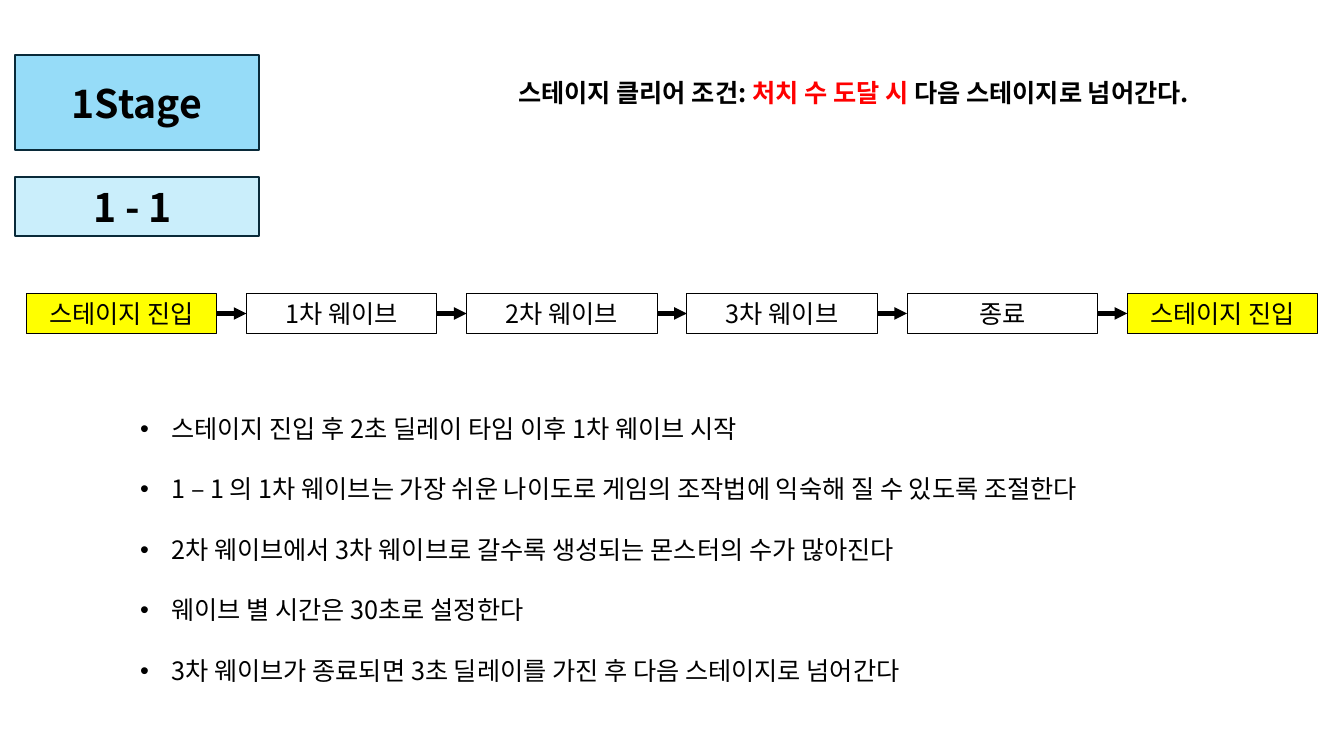
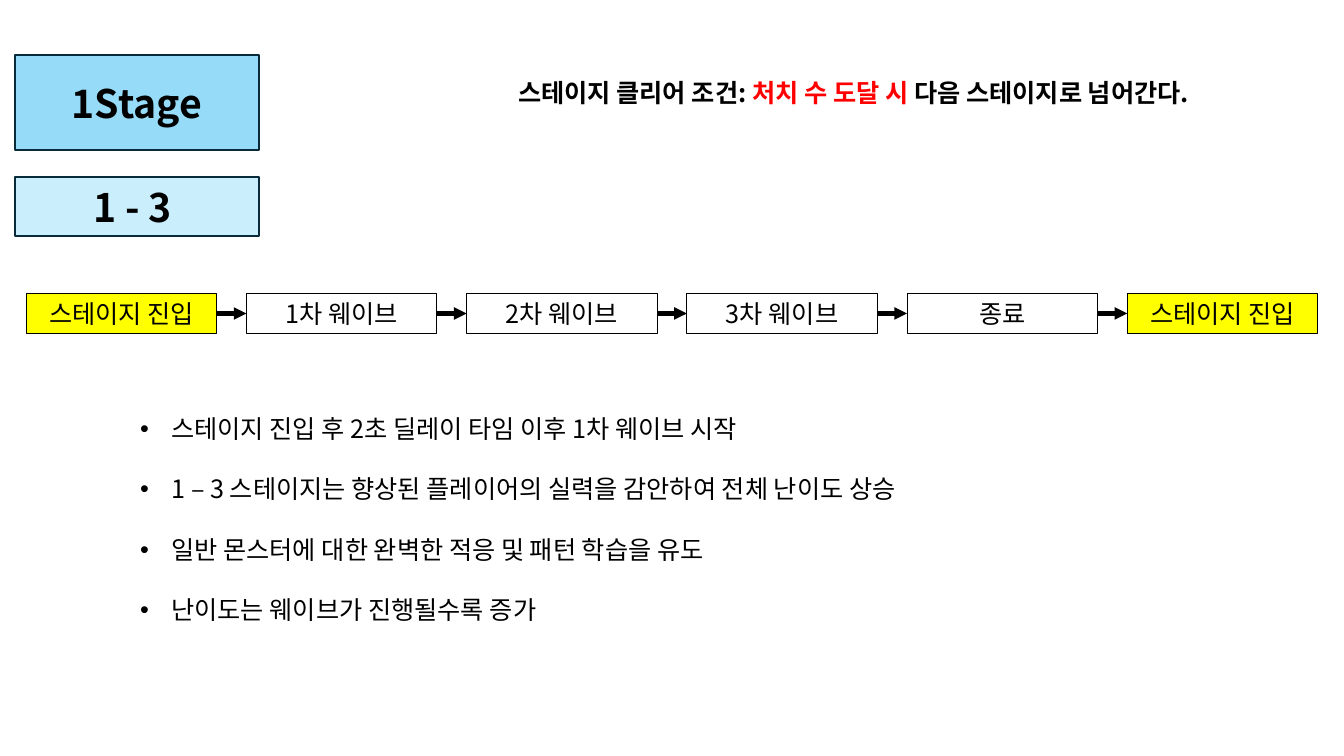
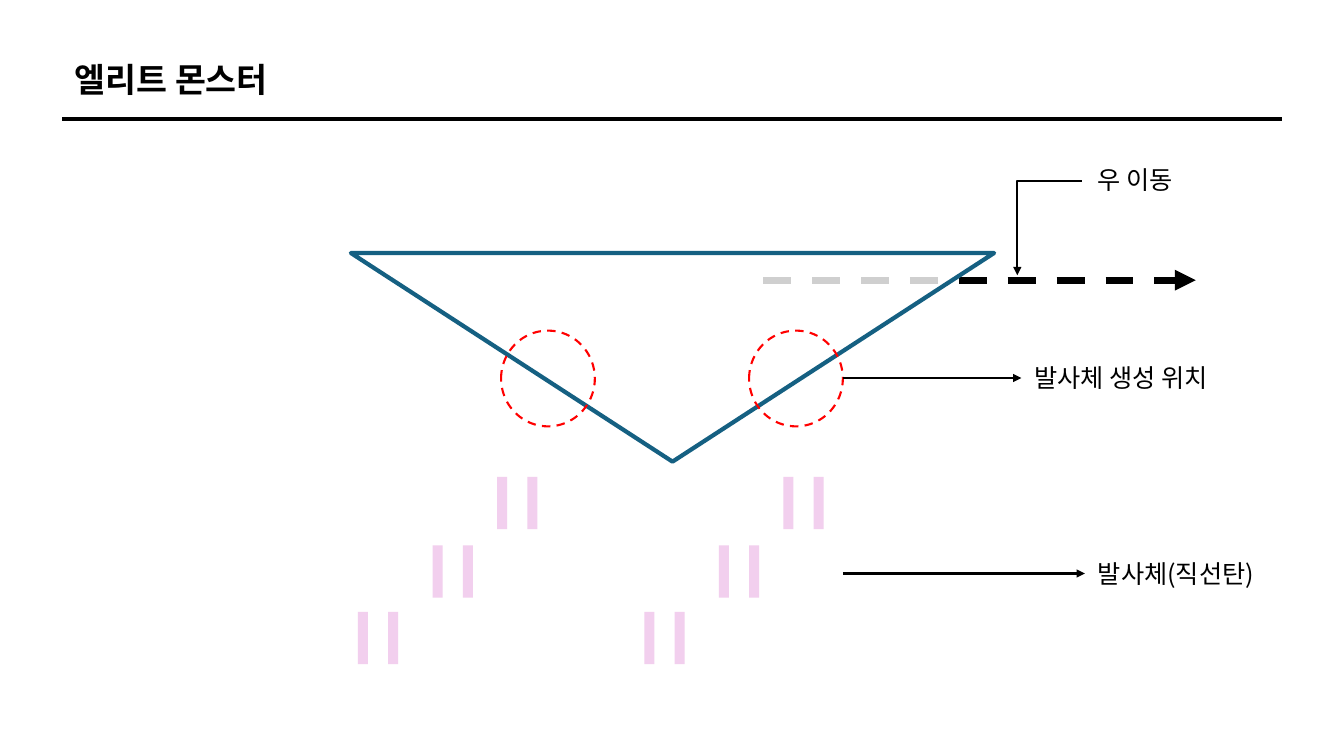
from pptx import Presentation
from pptx.dml.color import RGBColor
from pptx.enum.dml import MSO_LINE
from pptx.enum.shapes import MSO_CONNECTOR, MSO_SHAPE
from pptx.enum.text import MSO_ANCHOR, MSO_AUTO_SIZE, PP_ALIGN
from pptx.oxml.ns import qn
from pptx.util import Inches, Pt
from lxml import etree

RECT, OVAL, TRI = MSO_SHAPE.RECTANGLE, MSO_SHAPE.OVAL, MSO_SHAPE.ISOSCELES_TRIANGLE
LEFT, MID = PP_ALIGN.LEFT, PP_ALIGN.CENTER
TOP, CENTER = MSO_ANCHOR.TOP, MSO_ANCHOR.MIDDLE
DASH, STRAIGHT = MSO_LINE.DASH, MSO_CONNECTOR.STRAIGHT
FIXED = MSO_AUTO_SIZE.NONE
FONT = "Noto Sans CJK KR"
COLORS = {
    "black": "000000", "white": "FFFFFF", "red": "FF0000", "yellow": "FFFF00",
    "sky": "96DCF8", "pale": "CAEEFB", "navy": "092A39", "teal": "156082",
    "pink": "F2CFEE",
}

# Content
STAGES = [
    ("1 - 1 ", [
        "스테이지 진입 후 2초 딜레이 타임 이후 1차 웨이브 시작",
        "1 – 1 의 1차 웨이브는 가장 쉬운 나이도로 게임의 조작법에 익숙해 질 수 있도록 조절한다",
        "2차 웨이브에서 3차 웨이브로 갈수록 생성되는 몬스터의 수가 많아진다",
        "웨이브 별 시간은 30초로 설정한다",
        "3차 웨이브가 종료되면 3초 딜레이를 가진 후 다음 스테이지로 넘어간다",
    ]),
    ("1 - 3 ", [
        "스테이지 진입 후 2초 딜레이 타임 이후 1차 웨이브 시작",
        "1 – 3 스테이지는 향상된 플레이어의 실력을 감안하여 전체 난이도 상승",
        "일반 몬스터에 대한 완벽한 적응 및 패턴 학습을 유도",
        "난이도는 웨이브가 진행될수록 증가",
    ]),
]
GOAL = [("스테이지 클리어 조건: ", "black"), ("처치 수 도달 시 ", "red"),
        ("다음 스테이지로 넘어간다.", "black")]
ENTRY = "스테이지 진입"
FLOW = [ENTRY, "1차 웨이브", "2차 웨이브", "3차 웨이브", "종료", ENTRY]
LABELS = [("우 이동", 10.79, 1.58), ("발사체 생성 위치", 10.16, 3.55),
          ("발사체(직선탄)", 10.79, 5.49)]
SHOTS = [(4.93, 4.73), (4.29, 5.41), (3.55, 6.07)]


# Shared helpers
def color(name):
    return RGBColor.from_string(COLORS[name])


def place(shape, x, y, w, h):
    shape.left, shape.top = Inches(x), Inches(y)
    shape.width, shape.height = Inches(w), Inches(h)


def style(shape, fill=None, line=None, width=0.75, dash=None):
    if fill:
        shape.fill.solid()
        shape.fill.fore_color.rgb = color(fill)
    else:
        shape.fill.background()
    if line:
        shape.line.color.rgb = color(line)
        shape.line.width = Pt(width)
        if dash:
            shape.line.dash_style = dash
    else:
        shape.line.fill.background()


def write(shape, lines, size=18, bold=False, align=LEFT, anchor=TOP):
    """Each line is a string or a list of (text, colour) runs."""
    frame = shape.text_frame
    frame.word_wrap, frame.auto_size = True, FIXED
    frame.vertical_anchor = anchor
    for i, line in enumerate(lines):
        par = frame.add_paragraph() if i else frame.paragraphs[0]
        par.alignment = align
        font = par.font
        font.size, font.bold, font.name = Pt(size), bold, FONT
        font.color.rgb = color("black")
        etree.SubElement(par._p.pPr.find(qn("a:defRPr")), qn("a:ea"), typeface=FONT)
        for text, tint in [(line, None)] if isinstance(line, str) else line:
            run = par.add_run()
            run.text = text
            if tint:
                run.font.color.rgb = color(tint)


def add_text(slide, x, y, w, h, lines, **look):
    box = slide.shapes.add_textbox(*map(Inches, (x, y, w, h)))
    write(box, lines, **look)


def add_box(slide, x, y, w, h, kind=RECT, **look):
    box = slide.shapes.add_shape(kind, *map(Inches, (x, y, w, h)))
    box.shadow.inherit = False
    style(box, **look)
    return box


def add_head(shape):
    etree.SubElement(shape.line._get_or_add_ln(), qn("a:tailEnd"), type="triangle")


def add_line(slide, x, y, end, width, head=True, dash=None):
    line = slide.shapes.add_connector(STRAIGHT, *map(Inches, (x, y, end, y)))
    line.line.color.rgb = color("black")
    line.line.width = Pt(width)
    if dash:
        line.line.dash_style = dash
    if head:
        add_head(line)
    etree.SubElement(line._element.spPr, qn("a:effectLst"))
    return line


# Stage slides
def add_flow(slide):
    first, last, top, wide, high = 0.26, 11.18, 2.91, 1.89, 0.4
    step = (last - first) / (len(FLOW) - 1)
    prior = None
    for i, name in enumerate(FLOW):
        x = first + i * step
        box = add_box(slide, x, top, wide, high, line="black",
                      fill="yellow" if name == ENTRY else None)
        write(box, [name], align=MID)
        if prior:
            link = add_line(slide, x - step + wide, top + high / 2, x, 3)
            link.begin_connect(prior, 3)
            link.end_connect(box, 1)
        prior = box


def add_stage(deck, level, notes):
    slide = deck.slides.add_slide(deck.slide_layouts[1])
    title, body = slide.placeholders
    place(title, 0.15, 0.55, 2.42, 0.94)
    style(title, "sky", "navy", 1.5)
    write(title, ["1Stage"], 28, True, MID, CENTER)
    place(body, 1.29, 3.75, 10.92, 0.61 * len(notes) + 0.59)
    write(body, notes)
    for par in body.text_frame.paragraphs:
        par.line_spacing, par.space_before = 2.0, Pt(0)
        par._p.pPr.set("marL", str(Inches(0.31)))
        par._p.pPr.set("indent", str(-Inches(0.31)))
    badge = add_box(slide, 0.15, 1.76, 2.42, 0.58, fill="pale", line="navy", width=1.5)
    write(badge, [level], 28, True, MID, CENTER)
    add_flow(slide)
    add_text(slide, 5.04, 0.72, 7.96, 0.4, [GOAL], bold=True)


# Monster slide
def add_monster(deck):
    slide = deck.slides.add_slide(deck.slide_layouts[5])
    title = slide.shapes.title
    place(title, 0.64, 0.53, 6.31, 0.5)
    write(title, ["엘리트 몬스터"], 24, True)
    add_line(slide, 0.62, 1.18, 12.72, 2.75, head=False)

    # Body of the monster over its path of travel
    add_line(slide, 7.57, 2.78, 11.86, 5, dash=DASH)
    body = add_box(slide, 3.48, 2.51, 6.38, 2.07, TRI, fill="white", line="teal", width=3)
    body.rotation = 180
    tint = body._element.spPr.find(qn("a:solidFill"))[0]
    etree.SubElement(tint, qn("a:alpha"), val="81000")

    # Muzzles and shots
    for x in (4.97, 7.43):
        add_box(slide, x, 3.28, 0.93, 0.95, OVAL, line="red", width=1.5, dash=DASH)
    for side in (0, 2.84):
        for x, y in SHOTS:
            for gap in (0, 0.3):
                add_box(slide, x + side + gap, y, 0.1, 0.52, fill="pink")

    # Labels and pointers
    for text, x, y in LABELS:
        add_text(slide, x, y, 2.35, 0.4, [text])
    add_line(slide, 8.36, 3.75, 10.13, 1.5)
    add_line(slide, 8.36, 5.69, 10.76, 1.5)
    pen = slide.shapes.build_freeform(Inches(10.73), Inches(1.8))
    pen.add_line_segments([(Inches(10.09), Inches(1.8)), (Inches(10.09), Inches(2.73))],
                          close=False)
    bend = pen.convert_to_shape()
    bend.shadow.inherit = False
    style(bend, line="black", width=1.5)
    add_head(bend)


def main():
    deck = Presentation()
    deck.slide_width, deck.slide_height = Inches(13.33), Inches(7.5)
    for level, notes in STAGES:
        add_stage(deck, level, notes)
    add_monster(deck)
    deck.save("out.pptx")


if __name__ == "__main__":
    main()
